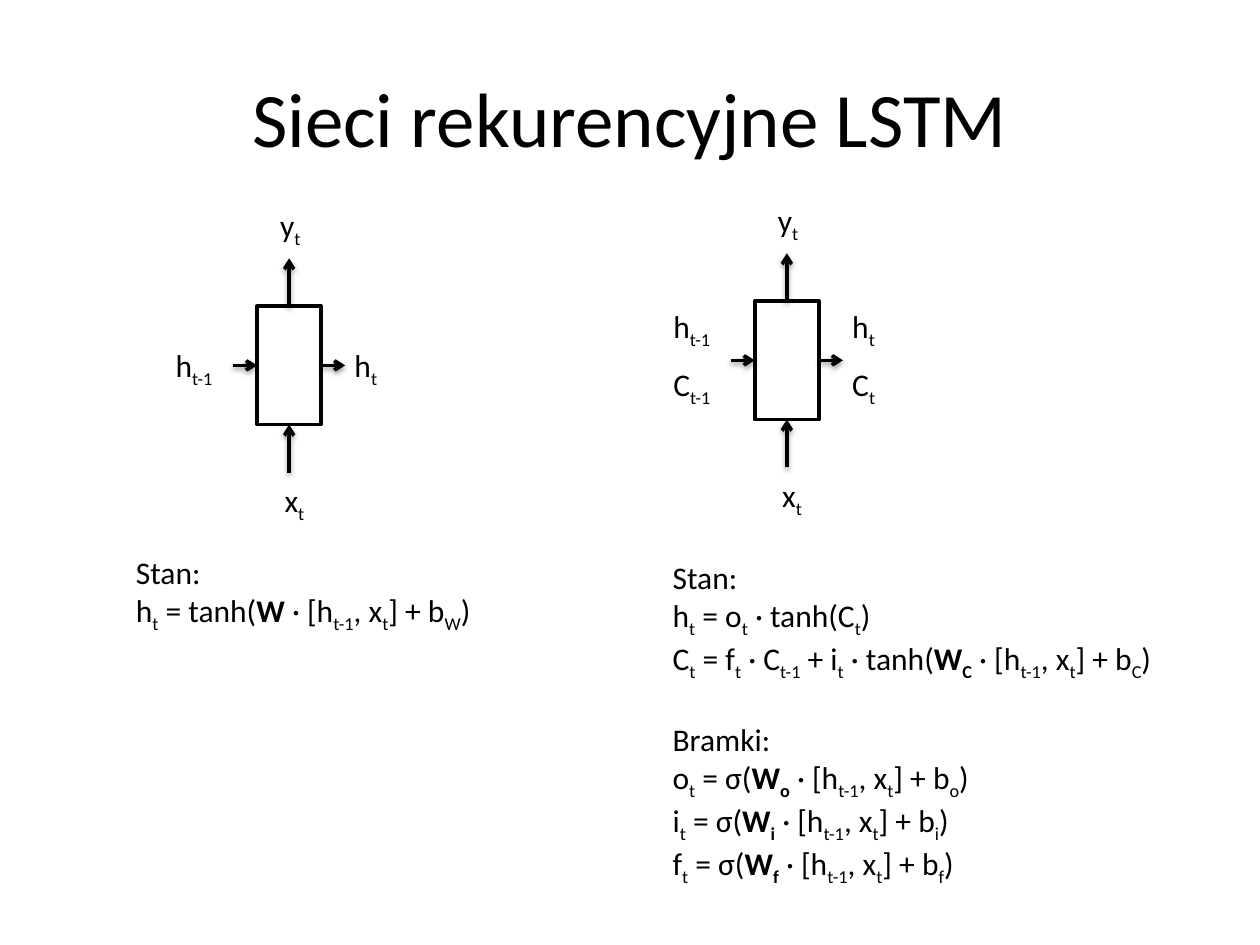
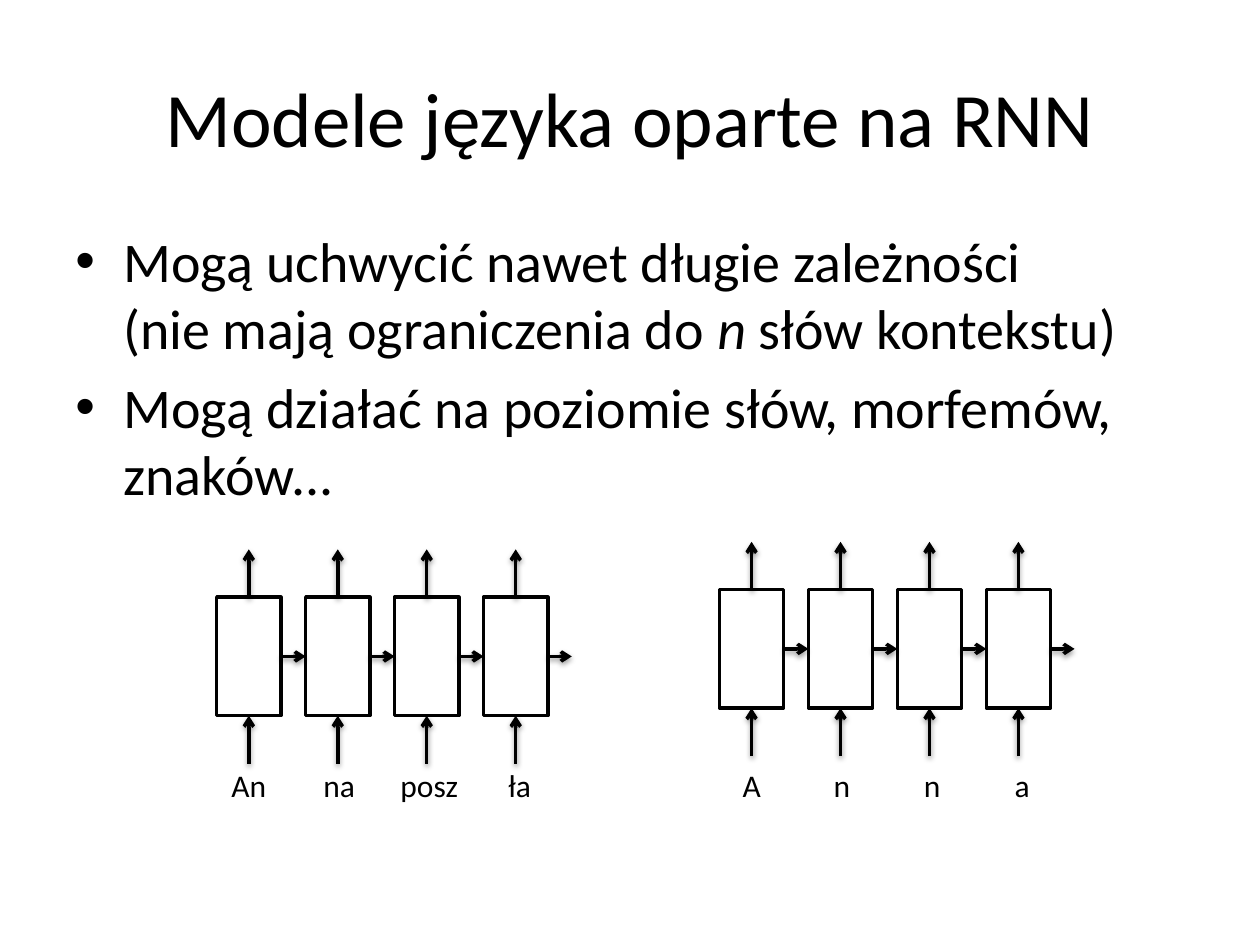
from dataclasses import dataclass
from itertools import pairwise
from typing import Iterator, NamedTuple

from lxml.etree import SubElement
from pptx import Presentation
from pptx.dml.color import RGBColor
from pptx.enum.shapes import MSO_CONNECTOR as Connector, MSO_SHAPE as Shape
from pptx.enum.text import MSO_ANCHOR as Anchor, PP_ALIGN as Align
from pptx.oxml.ns import qn
from pptx.util import Inches, Pt

COLUMNS, ROWS = 100, 75
SLIDE_WIDTH, SLIDE_HEIGHT = Inches(10), Inches(7.5)
TOP, LEFT, BOTTOM, RIGHT = range(4)


@dataclass(frozen=True)
class Theme:
    font: str = "Calibri"
    ink: RGBColor = RGBColor(0x00, 0x00, 0x00)
    paper: RGBColor = RGBColor(0xFF, 0xFF, 0xFF)
    title: float = 44
    body: float = 32
    label: float = 18
    stroke: float = 2


@dataclass(frozen=True)
class CellSize:
    width: float = 5.1
    height: float = 9.4
    pitch: float = 7.06
    vertical_arrow: float = 3.8
    side_arrow: float = 1.9


class Area(NamedTuple):
    left: float
    top: float
    width: float
    height: float


class Point(NamedTuple):
    column: float
    row: float


class Line(NamedTuple):
    text: str
    space_before: float = 0


class Piece(NamedTuple):
    text: str
    bold: bool
    italic: bool
    subscript: bool


class Unit(NamedTuple):
    origin: Point
    incoming: list[str]
    outgoing: list[str]
    state_rows: list[float]


class Sequence(NamedTuple):
    origin: Point
    tokens: list[str]


THEME = Theme()
CELL = CellSize()
TITLE_AREA = Area(5, 3, 90, 12.5)
BODY_AREA = Area(5, 17.5, 90, 49.5)
TOKEN_ROW = 60.3

UNITS = [
    Unit(Point(20.4, 24.3), ["h{t-1}"], ["h{t}"], [2.7]),
    Unit(Point(59.9, 23.9), ["h{t-1}", "C{t-1}"], ["h{t}", "C{t}"], [0, 4.6]),
]
RNN_FORMULAS = [Line("Stan:\nh{t} = tanh(*W *· [h{t-1}, x{t}] + b{W})")]
GATES = [Line(f"{gate}{{t}} = σ(*W{{{gate}}}* · [h{{t-1}}, x{{t}}] + b{{{gate}}})")
         for gate in "oif"]
LSTM_FORMULAS = [
    Line("Stan:\nh{t} = o{t} · tanh(C{t})"),
    Line("C{t} = f{t} · C{t-1} + i{t} · tanh(*W{C}* · [h{t-1}, x{t}] + b{C})"),
    Line("Bramki:", 22),
    *GATES,
]
CLAIMS = [
    Line("Mogą uchwycić nawet długie zależności\n"
         "(nie mają ograniczenia do ~n~ słów kontekstu)", 6.4),
    Line("Mogą działać na poziomie słów, morfemów, znaków...", 6.4),
]
SEQUENCES = [
    Sequence(Point(17.2, 47.4), ["An", "na", "posz", "ła"]),
    Sequence(Point(57.1, 46.8), ["A", "n", "n", "a"]),
]


def across(columns: float) -> int:
    return round(SLIDE_WIDTH * columns / COLUMNS)


def down(rows: float) -> int:
    return round(SLIDE_HEIGHT * rows / ROWS)


def parse_markup(text: str) -> Iterator[Piece]:
    bold = italic = subscript = False
    buffer = ""
    for char in text:
        if char not in "*~{}\n":
            buffer += char
            continue
        if buffer:
            yield Piece(buffer, bold, italic, subscript)
            buffer = ""
        if char == "\n":
            yield Piece(char, bold, italic, subscript)
        elif char == "*":
            bold = not bold
        elif char == "~":
            italic = not italic
        else:
            subscript = char == "{"
    if buffer:
        yield Piece(buffer, bold, italic, subscript)


def add_bullet(paragraph) -> None:
    properties = paragraph._p.get_or_add_pPr()
    properties.set("marL", str(Inches(0.38)))
    properties.set("indent", str(-Inches(0.38)))
    SubElement(properties, qn("a:buFont"), typeface="Arial")
    SubElement(properties, qn("a:buChar"), char="•")


def write(shapes, area: Area, lines: list[Line], *, size: float = THEME.label,
          align: Align = Align.LEFT, anchor: Anchor = Anchor.TOP,
          bullets: bool = False) -> None:
    box = shapes.add_textbox(across(area.left), down(area.top),
                             across(area.width), down(area.height))
    frame = box.text_frame
    frame.word_wrap = True
    frame.vertical_anchor = anchor
    for index, line in enumerate(lines):
        paragraph = frame.add_paragraph() if index else frame.paragraphs[0]
        paragraph.alignment = align
        paragraph.space_before = Pt(line.space_before)
        if bullets:
            add_bullet(paragraph)
        for piece in parse_markup(line.text):
            if piece.text == "\n":
                paragraph.add_line_break()
                continue
            run = paragraph.add_run()
            run.text = piece.text
            run.font.name, run.font.size = THEME.font, Pt(size)
            run.font.color.rgb = THEME.ink
            run.font.bold, run.font.italic = piece.bold, piece.italic
            if piece.subscript:
                run.font._element.set("baseline", "-25000")


def add_cell(shapes, origin: Point):
    cell = shapes.add_shape(Shape.RECTANGLE, across(origin.column), down(origin.row),
                            across(CELL.width), down(CELL.height))
    cell.shadow.inherit = False
    cell.fill.solid()
    cell.fill.fore_color.rgb = THEME.paper
    cell.line.color.rgb = THEME.ink
    cell.line.width = Pt(THEME.stroke)
    return cell


def add_arrow(shapes, start: Point, end: Point, source=None, target=None,
              source_side: int = RIGHT, target_side: int = LEFT) -> None:
    arrow = shapes.add_connector(Connector.STRAIGHT, across(start.column), down(start.row),
                                 across(end.column), down(end.row))
    if source is not None:
        arrow.begin_connect(source, source_side)
    if target is not None:
        arrow.end_connect(target, target_side)
    arrow.line.color.rgb = THEME.ink
    arrow.line.width = Pt(THEME.stroke)
    properties = arrow.element.spPr
    SubElement(properties.find(qn("a:ln")), qn("a:tailEnd"), type="arrow")
    effects = SubElement(properties, qn("a:effectLst"))
    shadow = SubElement(effects, qn("a:outerShdw"), blurRad=str(Pt(3.1)),
                        dist=str(Pt(1.6)), dir="5400000", rotWithShape="0")
    shade = SubElement(shadow, qn("a:srgbClr"), val=str(THEME.ink))
    SubElement(shade, qn("a:alpha"), val="38000")


def add_vertical_arrows(shapes, cell, origin: Point) -> None:
    center = origin.column + CELL.width / 2
    bottom = origin.row + CELL.height
    add_arrow(shapes, Point(center, origin.row),
              Point(center, origin.row - CELL.vertical_arrow),
              source=cell, source_side=TOP)
    add_arrow(shapes, Point(center, bottom + CELL.vertical_arrow),
              Point(center, bottom), target=cell, target_side=BOTTOM)


def add_output_arrow(shapes, cell, origin: Point, following=None) -> None:
    start = Point(origin.column + CELL.width, origin.row + CELL.height / 2)
    end = Point(start.column + CELL.side_arrow, start.row)
    add_arrow(shapes, start, end, source=cell, target=following)


def draw_unit(shapes, unit: Unit) -> None:
    column, row = unit.origin
    middle = row + CELL.height / 2
    cell = add_cell(shapes, unit.origin)
    add_vertical_arrows(shapes, cell, unit.origin)
    add_output_arrow(shapes, cell, unit.origin)
    add_arrow(shapes, Point(column - CELL.side_arrow, middle), Point(column, middle),
              target=cell)
    write(shapes, Area(column + 1.2, row + 13.4, 5.1, 4), [Line("x{t}")])
    write(shapes, Area(column + 0.85, row - 8.45, 5.1, 4), [Line("y{t}")])
    for before, after, offset in zip(unit.incoming, unit.outgoing, unit.state_rows):
        write(shapes, Area(column - 7.45, row + offset, 7.1, 4), [Line(before)])
        write(shapes, Area(column + 6.75, row + offset, 7.1, 4), [Line(after)])


def draw_sequence(shapes, sequence: Sequence) -> None:
    column, row = sequence.origin
    origins = [Point(column + index * CELL.pitch, row)
               for index in range(len(sequence.tokens))]
    cells = [add_cell(shapes, origin) for origin in origins]
    for cell, origin in zip(cells, origins):
        add_vertical_arrows(shapes, cell, origin)
    for (cell, following), origin in zip(pairwise(cells), origins):
        add_output_arrow(shapes, cell, origin, following)
    add_output_arrow(shapes, cells[-1], origins[-1])
    token_width = 7.16
    first_token = column + (CELL.width - token_width) / 2
    for index, token in enumerate(sequence.tokens):
        write(shapes, Area(first_token + index * token_width, TOKEN_ROW, token_width, 4),
              [Line(token)], align=Align.CENTER)


def add_titled_slide(deck, title: str):
    slide = deck.slides.add_slide(deck.slide_layouts[6])
    slide.background.fill.solid()
    slide.background.fill.fore_color.rgb = THEME.paper
    write(slide.shapes, TITLE_AREA, [Line(title)], size=THEME.title,
          align=Align.CENTER, anchor=Anchor.MIDDLE)
    return slide


def build_lstm_slide(deck) -> None:
    shapes = add_titled_slide(deck, "Sieci rekurencyjne LSTM").shapes
    for unit in UNITS:
        draw_unit(shapes, unit)
    write(shapes, Area(9.8, 43.4, 31.5, 9.1), RNN_FORMULAS)
    write(shapes, Area(52.4, 43.8, 45, 27.3), LSTM_FORMULAS)


def build_language_model_slide(deck) -> None:
    shapes = add_titled_slide(deck, "Modele języka oparte na RNN").shapes
    write(shapes, BODY_AREA, CLAIMS, size=THEME.body, bullets=True)
    for sequence in SEQUENCES:
        draw_sequence(shapes.add_group_shape().shapes, sequence)


def main() -> None:
    deck = Presentation()
    deck.slide_width, deck.slide_height = SLIDE_WIDTH, SLIDE_HEIGHT
    build_lstm_slide(deck)
    build_language_model_slide(deck)
    deck.save("out.pptx")


if __name__ == "__main__":
    main()
